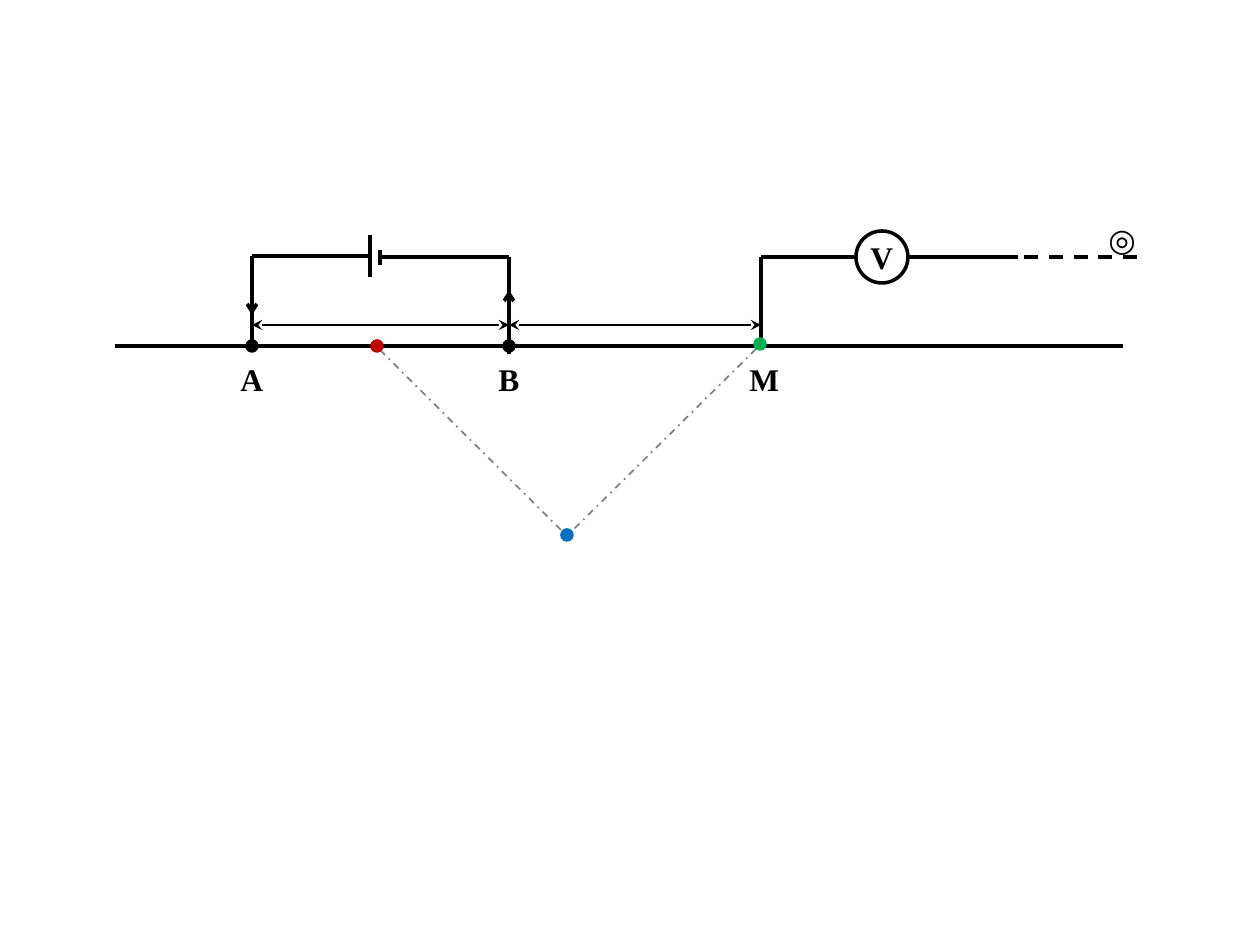
from lxml import etree
from pptx import Presentation
from pptx import util as u
from pptx.dml.color import RGBColor
from pptx.enum import dml, shapes
from pptx.oxml.ns import qn

SCALE = 914400 / 126
BLACK, GREY = "000000", "808080"
RED, GREEN, BLUE = "C00000", "00B050", "0070C0"
SURFACE_Y, WIRE_Y, SPACING_Y, LABEL_Y = 346, 257, 325, 354
A_X, B_X, M_X = 252, 509, 761
CELL_LEFT, CELL_RIGHT = 370, 380
METER_X, METER_RADIUS = 882, 26


def px(length):
    """Turn whole pixels into EMU."""
    return u.Emu(round(length * SCALE))


def colour(value):
    """Turn a hex string into a colour."""
    return RGBColor.from_string(value)


def add_line(page, start, end, hue=BLACK, width=2, dash=None, head=None, tail=None):
    """Draw a straight line, with arrowheads at its start (head) and end (tail)."""
    wire = page.shapes.add_connector(
        shapes.MSO_CONNECTOR.STRAIGHT, *map(px, (*start, *end)))
    wire.line.color.rgb = colour(hue)
    wire.line.width = u.Pt(width)
    if dash:
        wire.line.dash_style = dash
    outline = wire.line._get_or_add_ln()
    for tag, kind in (("a:headEnd", head), ("a:tailEnd", tail)):
        if kind:
            etree.SubElement(outline, qn(tag), type=kind)
    etree.SubElement(wire._element.spPr, qn("a:effectLst"))


def add_circle(page, centre, radius, hue=BLACK, filled=True):
    """Draw a circle around a centre."""
    left, top = (place - radius for place in centre)
    circle = page.shapes.add_shape(
        shapes.MSO_SHAPE.OVAL, *map(px, (left, top, 2 * radius, 2 * radius)))
    circle.shadow.inherit = False
    circle.line.color.rgb = colour(hue)
    circle.line.width = u.Pt(2)
    if filled:
        circle.fill.solid()
        circle.fill.fore_color.rgb = colour(hue)
    else:
        circle.fill.background()


def add_text(page, text, left, top, width=48, font="Times New Roman", bold=True):
    """Place a one-character label."""
    box = page.shapes.add_textbox(*map(px, (left, top, width, 50)))
    box.text_frame.word_wrap = True
    span = box.text_frame.paragraphs[0].add_run()
    span.text = text
    span.font.name = font
    span.font.size = u.Pt(18)
    span.font.bold = bold
    span.font.color.rgb = colour(BLACK)


def add_wires(page):
    """Draw the ground surface, the current circuit and the voltage circuit."""
    add_line(page, (115, SURFACE_Y), (1123, SURFACE_Y))
    for start, end in (
        ((A_X, WIRE_Y - 1), (A_X, SURFACE_Y)),
        ((A_X, WIRE_Y - 1), (CELL_LEFT, WIRE_Y - 1)),
        ((CELL_LEFT, 235), (CELL_LEFT, 277)),
        ((CELL_RIGHT, 250), (CELL_RIGHT, 265)),
        ((CELL_RIGHT, WIRE_Y), (B_X, WIRE_Y)),
        ((B_X, WIRE_Y), (B_X, 354)),
        ((M_X, WIRE_Y), (M_X, 341)),
        ((M_X, WIRE_Y), (METER_X - METER_RADIUS, WIRE_Y)),
        ((METER_X + METER_RADIUS, WIRE_Y), (1018, WIRE_Y)),
    ):
        add_line(page, start, end)
    add_line(page, (1137, WIRE_Y), (1008, WIRE_Y), dash=dml.MSO_LINE.DASH)
    add_line(page, (A_X, 315), (A_X, 289), head="arrow")
    add_line(page, (B_X, 290), (B_X, 315), head="arrow")
    for left, right in ((A_X, B_X), (B_X, M_X)):
        add_line(page, (left, SPACING_Y), (right, SPACING_Y),
                 width=1.5, head="stealth", tail="stealth")


def add_points(page):
    """Draw the electrodes, the depth point and its two guide lines."""
    for start, end in (((380, 350), (563, 532)), ((756, 349), (571, 532))):
        add_line(page, start, end, hue=GREY, width=1, dash=dml.MSO_LINE.DASH_DOT)
    for centre, hue in (
        ((A_X, SURFACE_Y), BLACK),
        ((B_X, SURFACE_Y), BLACK),
        ((377, SURFACE_Y), RED),
        ((760, 344), GREEN),
        ((567, 535), BLUE),
    ):
        add_circle(page, centre, 5, hue)


def main():
    """Build the electrode array slide."""
    deck = Presentation()
    deck.slide_width, deck.slide_height = px(1260), px(945)
    page = deck.slides.add_slide(deck.slide_layouts[6])
    add_wires(page)
    add_points(page)
    add_circle(page, (METER_X, WIRE_Y), METER_RADIUS, filled=False)
    for text, left in (("A", 228), ("B", 486), ("M", 737)):
        add_text(page, text, left, LABEL_Y)
    add_text(page, "V", 858, 232)
    add_text(page, "◎", 1096, 214, width=42, font="Calibri", bold=False)
    deck.save("out.pptx")


if __name__ == "__main__":
    main()
